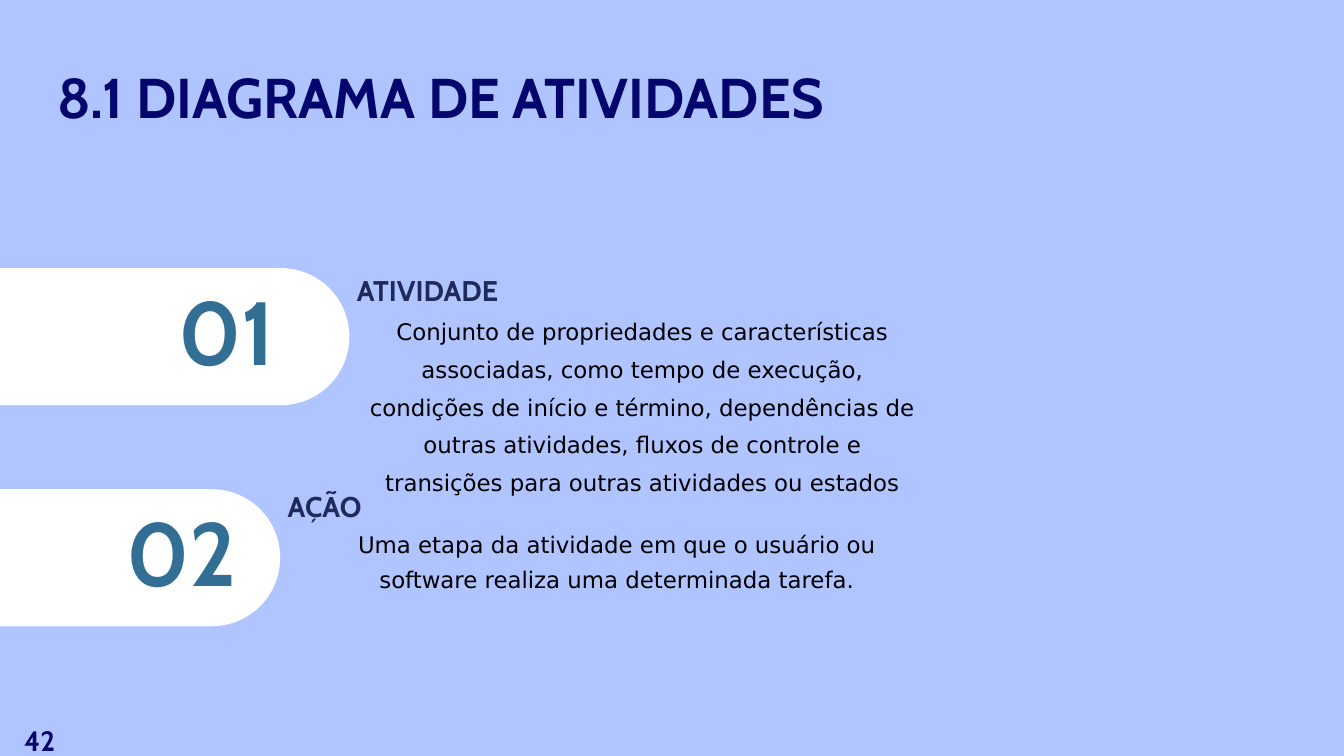
import math
from dataclasses import dataclass

from pptx import Presentation
from pptx import util as u
from pptx.dml.color import RGBColor
from pptx.enum import text
from pptx.util import Inches


@dataclass(frozen=True)
class Theme:
    heading_font: str = "Cabin"
    body_font: str = "DejaVu Sans"
    background: str = "B0C4FF"
    tab: str = "FFFFFF"
    title: str = "04056D"
    heading: str = "1F2A5B"
    number: str = "336F95"
    body: str = "000000"
    title_size: float = 60
    heading_size: float = 30.5
    body_size: float = 24.5
    number_size: float = 96
    page_size: float = 30


class SlideBuilder:
    def __init__(self, slide, theme):
        self.slide = slide
        self.theme = theme
        fill = slide.background.fill
        fill.solid()
        fill.fore_color.rgb = RGBColor.from_string(theme.background)

    def style(self, paragraph, font, size, color, bold=True, indent=0.01):
        paragraph.font.name = font
        paragraph.font.size = u.Pt(size)
        paragraph.font.bold = bold
        paragraph.font.color.rgb = RGBColor.from_string(color)
        properties = paragraph._p.get_or_add_pPr()
        properties.set("marL", str(Inches(indent)))
        properties.set("indent", "0")

    def frame(self, shape, box, top_inset):
        shape.left, shape.top, shape.width, shape.height = map(Inches, box)
        frame = shape.text_frame
        frame.word_wrap = True
        frame.auto_size = text.MSO_AUTO_SIZE.NONE
        frame.vertical_anchor = text.MSO_ANCHOR.TOP
        frame.margin_left = frame.margin_right = frame.margin_bottom = 0
        frame.margin_top = Inches(top_inset)
        return frame

    def title(self, words, box, top_inset):
        frame = self.frame(self.slide.shapes.title, box, top_inset)
        heading = frame.paragraphs[0]
        heading.text = words
        heading.alignment = text.PP_ALIGN.LEFT
        self.style(heading, self.theme.heading_font, self.theme.title_size,
                   self.theme.title, indent=0.4)

    def label(self, words, box, size, color, top_inset=0.0):
        """A text box that opens with one bold line."""
        textbox = self.slide.shapes.add_textbox(*map(Inches, box))
        frame = self.frame(textbox, box, top_inset)
        frame.text = words
        self.style(frame.paragraphs[0], self.theme.heading_font, size, color)
        return frame

    def topic(self, heading, lines, box, top_inset, indent, spacing, before=0.0):
        frame = self.label(heading, box, self.theme.heading_size,
                           self.theme.heading, top_inset)
        for line in lines:
            description = frame.add_paragraph()
            description.text = line
            description.alignment = text.PP_ALIGN.CENTER
            description.line_spacing = spacing
            description.space_before = u.Pt(before)
            self.style(description, self.theme.body_font, self.theme.body_size,
                       self.theme.body, bold=False, indent=indent)

    def numbered_tab(self, number, top, width, height=2.04):
        """A tab from the slide's left edge with a half-round right end."""
        radius = height / 2
        steps = 48
        angles = [math.pi * (i / steps - 0.5) for i in range(steps + 1)]
        arc = [(Inches(width - radius + radius * math.cos(a)),
                Inches(top + radius + radius * math.sin(a))) for a in angles]
        outline = self.slide.shapes.build_freeform(0, Inches(top))
        outline.add_line_segments(arc + [(0, Inches(top + height))], close=True)
        tab = outline.convert_to_shape()
        tab.shadow.inherit = False
        tab.fill.solid()
        tab.fill.fore_color.rgb = RGBColor.from_string(self.theme.tab)
        tab.line.fill.background()
        return tab

    def tab_number(self, number, left, tab_top):
        self.label(number, (left, tab_top + 0.1, 1.77, 1.63),
                   self.theme.number_size, self.theme.number, 0.02)


def main():
    presentation = Presentation()
    presentation.slide_width = Inches(20)
    presentation.slide_height = Inches(11.25)
    title_only = presentation.slide_layouts[5]
    theme = Theme()
    page = SlideBuilder(presentation.slides.add_slide(title_only), theme)

    # Title
    page.title("8.1 DIAGRAMA DE ATIVIDADES", (0.45, -0.15, 16.88, 2.52), 1.08)

    # Numbered tabs
    for number, top, width, number_left in (("01", 3.99, 5.2, 2.65),
                                            ("02", 7.28, 4.17, 1.87)):
        page.numbered_tab(number, top, width)
        page.tab_number(number, number_left, top)

    # Topics
    page.topic("ATIVIDADE",
               ["Conjunto de propriedades e características associadas, como "
                "tempo de execução, condições de início e término, dependências "
                "de outras atividades, fluxos de controle e transições para "
                "outras atividades ou estados"],
               (5.3, 3.99, 8.43, 2.91), 0.07, indent=0.09, spacing=1.38)
    page.topic("AÇÃO",
               ["Uma etapa da atividade em que o usuário ou",
                "software realiza uma determinada tarefa."],
               (4.27, 7.12, 9.53, 1.66), 0.16, indent=0.29, spacing=1.15,
               before=3.8)

    # Page number
    page.label("42", (0.35, 10.76, 0.57, 0.44), theme.page_size, theme.title)

    presentation.save("out.pptx")


if __name__ == "__main__":
    main()
